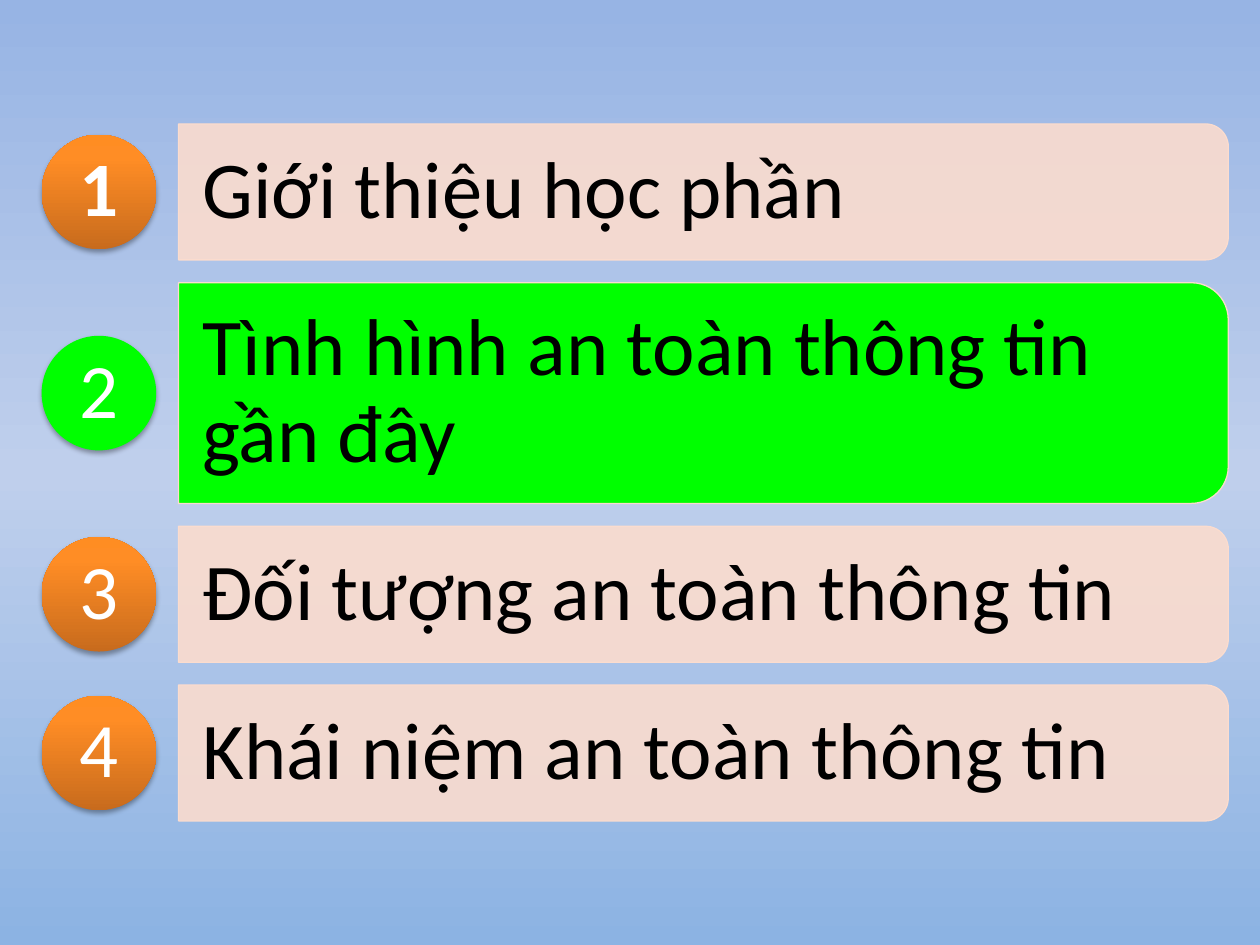
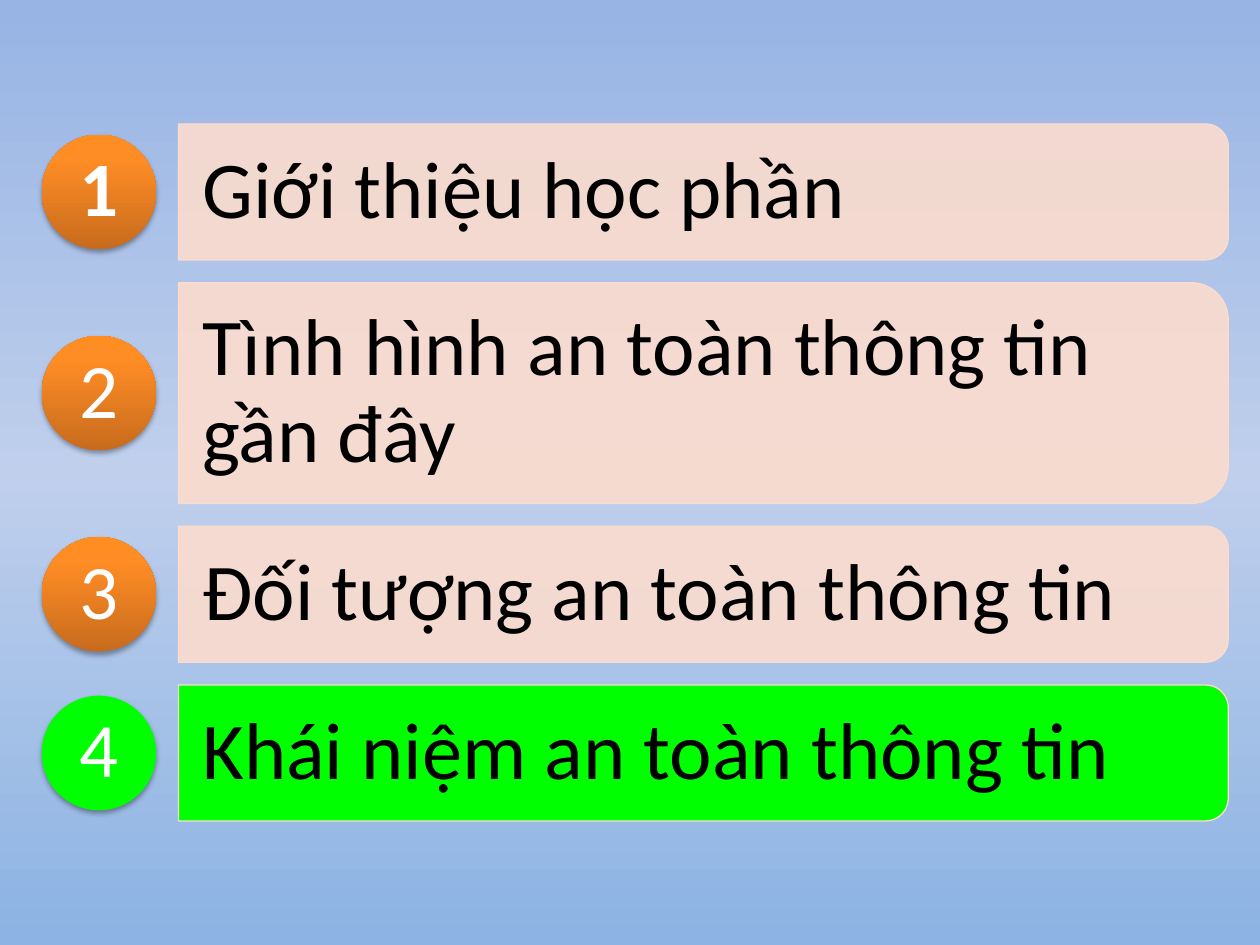
from lxml.etree import SubElement
from pptx import Presentation
from pptx.dml.color import RGBColor
from pptx.enum.shapes import MSO_SHAPE
from pptx.enum.text import MSO_ANCHOR, PP_ALIGN
from pptx.oxml.ns import qn
from pptx.util import Cm, Pt

COLORS = {
    "bar": "FBDCCE",
    "current": "00FF00",
    "topic": "000000",
    "number": "FFFFFF",
    "shadow": "000000",
}
BACKGROUND_STOPS = [(0, "97B4E4"), (50, "BFCFEC"), (100, "8CB3E3")]
BADGE_STOPS = [(0, "C86B1D"), (80, "FF8D25"), (100, "FF8D22")]
FONT = "Calibri"

TOPICS = [
    ("Giới thiệu học phần", 2.74),
    ("Tình hình an toàn thông tin gần đây", 4.45),
    ("Đối tượng an toàn thông tin", 2.74),
    ("Khái niệm an toàn thông tin", 2.74),
]
CURRENT_TOPICS = [2, 4]

FIRST_TOP = 2.5
ROW_GAP = 0.46
BAR_LEFT = 3.6
BAR_WIDTH = 21.16
BAR_ROUNDING = 0.167
CORNER_INSET = 0.29
BADGE_LEFT = 0.84
BADGE_SIZE = 2.31
NUMBER_SIZE = 1.63


def color(name):
    return RGBColor.from_string(COLORS[name])


def set_gradient(fill, element, stops, angle):
    fill.gradient()
    fill.gradient_angle = angle
    stop_list = element.find(".//" + qn("a:gsLst"))
    stop_list[:] = []
    for position, hex_color in stops:
        stop = SubElement(stop_list, qn("a:gs"), pos=str(position * 1000))
        SubElement(stop, qn("a:srgbClr"), val=hex_color)


def set_solid(shape, name, opacity=100):
    shape.fill.solid()
    shape.fill.fore_color.rgb = color(name)
    if opacity < 100:
        fill_color = shape._element.spPr.find(qn("a:solidFill"))[0]
        SubElement(fill_color, qn("a:alpha"), val=str(opacity * 1000))


def add_soft_shadow(shape):
    effects = shape._element.spPr.find(qn("a:effectLst"))
    shadow = SubElement(effects, qn("a:outerShdw"), blurRad=str(Pt(3.1)),
                        dist=str(Pt(1.8)), dir="5400000", rotWithShape="0")
    shadow_color = SubElement(shadow, qn("a:srgbClr"), val=COLORS["shadow"])
    SubElement(shadow_color, qn("a:alpha"), val="35000")


def add_bar(slide, center, height, current):
    left = BAR_LEFT + (BAR_WIDTH - height) / 2
    bar = slide.shapes.add_shape(
        MSO_SHAPE.ROUND_2_SAME_RECTANGLE, Cm(left), Cm(center - BAR_WIDTH / 2),
        Cm(height), Cm(BAR_WIDTH))
    bar.rotation = 90
    bar.adjustments[0] = BAR_ROUNDING
    bar.adjustments[1] = 0
    bar.shadow.inherit = False
    if current:
        set_solid(bar, "current")
    else:
        set_solid(bar, "bar", opacity=90)
    bar.line.color.rgb = color("bar")
    bar.line.width = Pt(0.75)


def add_badge(slide, center, current):
    badge = slide.shapes.add_shape(
        MSO_SHAPE.OVAL, Cm(BADGE_LEFT), Cm(center - BADGE_SIZE / 2),
        Cm(BADGE_SIZE), Cm(BADGE_SIZE))
    badge.shadow.inherit = False
    if current:
        set_solid(badge, "current")
    else:
        set_gradient(badge.fill, badge._element.spPr, BADGE_STOPS, 90)
    badge.line.fill.background()
    add_soft_shadow(badge)


def add_label(slide, text, left, center, width, height, margins, alignment, font):
    box = slide.shapes.add_textbox(
        Cm(left), Cm(center - height / 2), Cm(width), Cm(height))
    frame = box.text_frame
    horizontal, vertical = (Cm(margin) for margin in margins)
    frame_format = {
        "word_wrap": True,
        "vertical_anchor": MSO_ANCHOR.MIDDLE,
        "margin_left": horizontal,
        "margin_right": horizontal,
        "margin_top": vertical,
        "margin_bottom": vertical,
    }
    for name, value in frame_format.items():
        setattr(frame, name, value)
    paragraph = frame.paragraphs[0]
    paragraph.alignment = alignment
    paragraph.line_spacing = 0.9
    run = paragraph.add_run()
    run.text = text
    run.font.name = FONT
    run.font.color.rgb = color(font.pop("color"))
    for name, value in font.items():
        setattr(run.font, name, value)


def add_topic(slide, number, topic, center, height, current):
    add_bar(slide, center, height, current)
    inset = height * BAR_ROUNDING * CORNER_INSET
    add_label(slide, topic, BAR_LEFT, center, BAR_WIDTH - inset,
              height - 2 * inset, (0.48, 0.33), PP_ALIGN.LEFT,
              {"size": Pt(46), "color": "topic"})
    add_badge(slide, center, current)
    number_left = BADGE_LEFT + (BADGE_SIZE - NUMBER_SIZE) / 2
    add_label(slide, str(number), number_left, center, NUMBER_SIZE,
              NUMBER_SIZE, (0, 0), PP_ALIGN.CENTER,
              {"size": Pt(44), "color": "number", "bold": number == 1})


def add_agenda(presentation, current_number):
    slide = presentation.slides.add_slide(presentation.slide_layouts[6])
    set_gradient(slide.background.fill, slide._element, BACKGROUND_STOPS, 270)
    top = FIRST_TOP
    for number, (topic, height) in enumerate(TOPICS, start=1):
        add_topic(slide, number, topic, top + height / 2, height,
                  number == current_number)
        top += height + ROW_GAP


def main():
    presentation = Presentation()
    presentation.slide_width = Cm(25.4)
    presentation.slide_height = Cm(19.05)
    for current_number in CURRENT_TOPICS:
        add_agenda(presentation, current_number)
    presentation.save("out.pptx")


if __name__ == "__main__":
    main()
